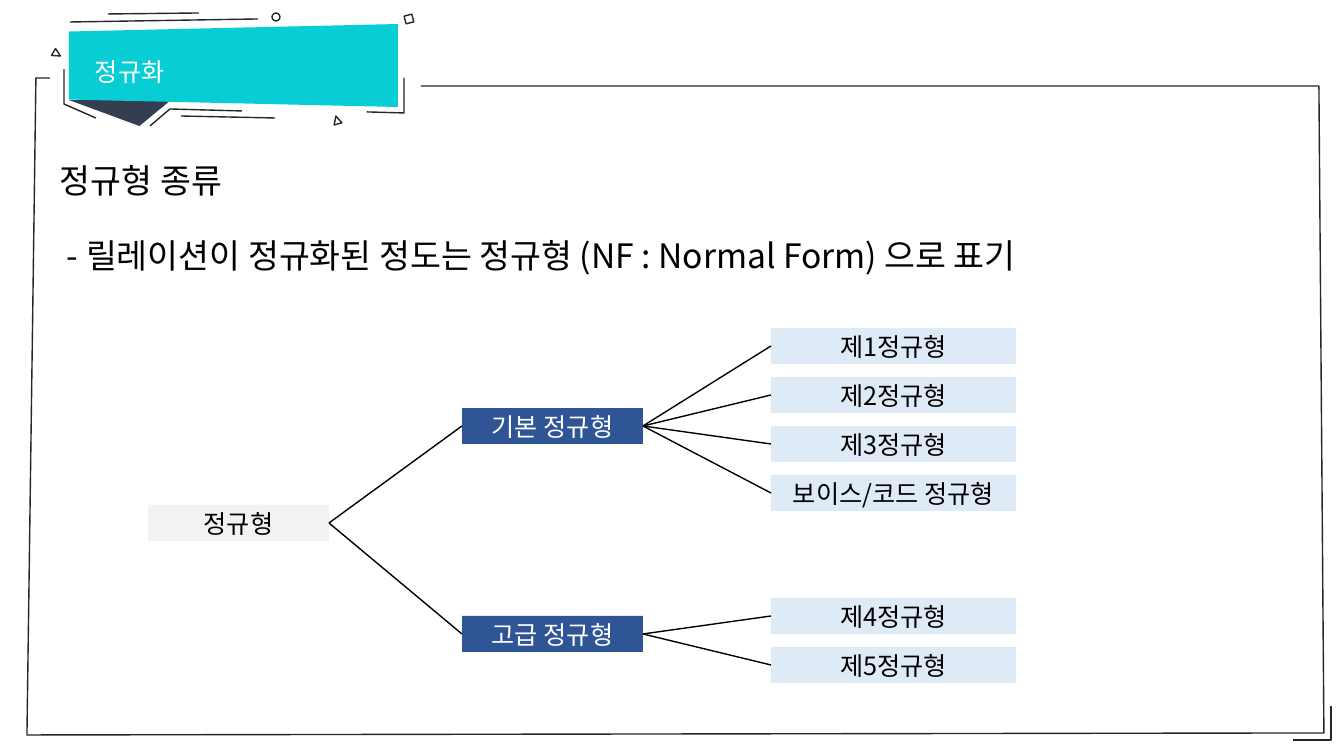
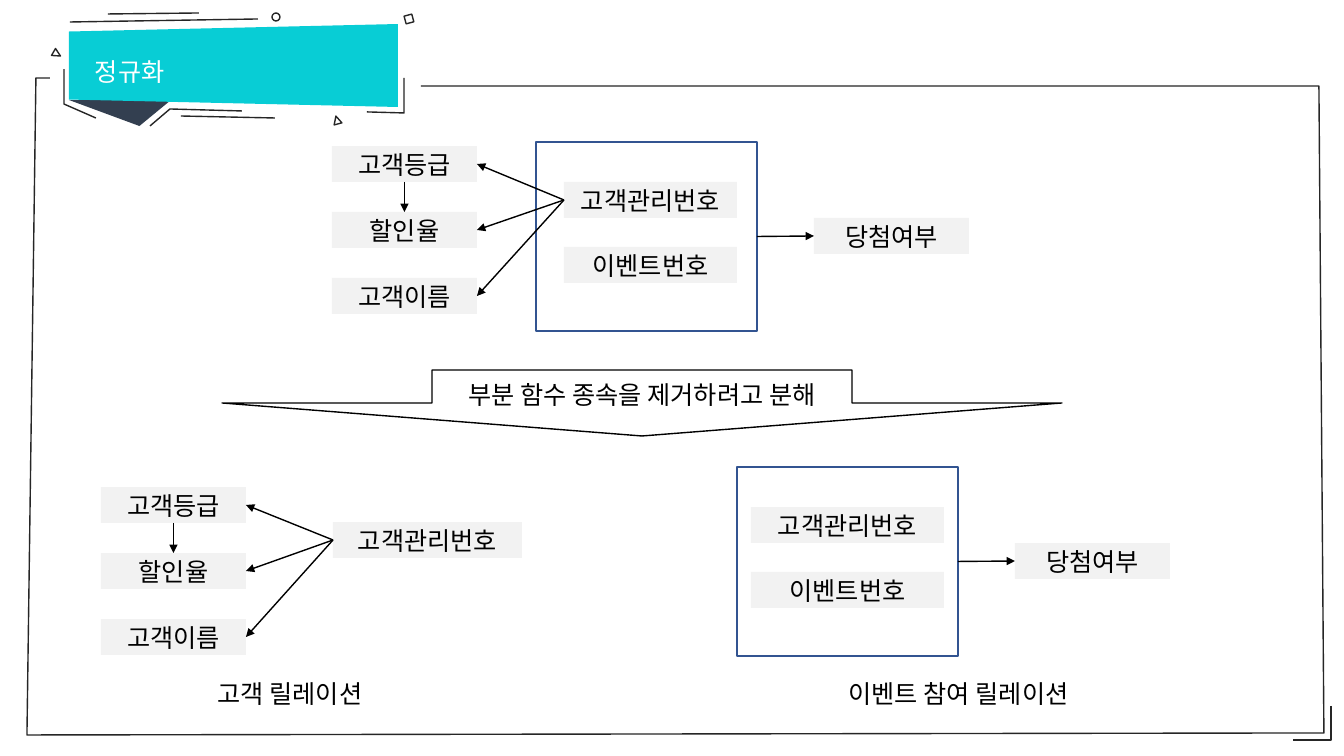
from dataclasses import dataclass

from lxml.etree import SubElement
from pptx import Presentation
from pptx.dml.color import RGBColor
from pptx.enum.shapes import MSO_CONNECTOR, MSO_SHAPE
from pptx.enum.text import MSO_ANCHOR, MSO_AUTO_SIZE, PP_ALIGN
from pptx.oxml.ns import qn
from pptx.util import Pt

PX = 914400 / 100.8
TOP, LEFT, BOTTOM, RIGHT = range(4)  # connection sites of a rectangle
ROW_H = 36


@dataclass(frozen=True)
class Theme:
    """Colours, font and sizes shared by all slides."""
    font: str = "Noto Sans CJK KR"
    heading: int = 24
    label: int = 18
    stroke: int = 1
    white: str = "FFFFFF"
    black: str = "000000"
    frame: str = "262626"
    banner: str = "08CDD5"
    fold: str = "333F50"
    grey: str = "F2F2F2"
    navy: str = "2F5597"
    pale: str = "DEEBF7"
    outline: str = "325491"


T = Theme()
CENTRED = {"alignment": PP_ALIGN.CENTER}
GROWING = {"word_wrap": False, "auto_size": MSO_AUTO_SIZE.SHAPE_TO_FIT_TEXT}


def emu(*lengths):
    """Turn pixel lengths into EMU."""
    return [round(n * PX) for n in lengths]


def rgb(colour):
    """Read a hex colour."""
    return RGBColor.from_string(colour)


def apply(target, values):
    """Set each format value on the target."""
    for name, value in values.items():
        setattr(target, name, value)


def paint(shape, fill=None, line=None):
    """Give a shape its fill and line, without a shadow."""
    shape.shadow.inherit = False
    if fill:
        shape.fill.solid()
        shape.fill.fore_color.rgb = rgb(fill)
    else:
        shape.fill.background()
    if line:
        shape.line.color.rgb = rgb(line)
        shape.line.width = Pt(T.stroke)
    else:
        shape.line.fill.background()


def write(p, text, size=T.label, colour=T.black, **layout):
    """Write one formatted run into a paragraph."""
    apply(p, layout)
    r = p.add_run()
    r.text = text
    apply(r.font, {"name": T.font, "size": Pt(size)})
    r.font.color.rgb = rgb(colour)
    SubElement(r.font._element, qn("a:ea"), typeface=T.font)


def add_preset(s, kind, box, fill=None, line=None, rotation=0, adjust=None):
    """Add a preset shape."""
    sp = s.shapes.add_shape(kind, *emu(*box))
    sp.rotation = rotation
    if adjust is not None:
        sp.adjustments[0] = adjust
    paint(sp, fill, line)
    return sp


def add_label(s, text, x, y, w, h=ROW_H, kind=MSO_SHAPE.RECTANGLE,
              fill=T.grey, line=None, colour=T.black):
    """Add a shape with one centred line of text."""
    sp = add_preset(s, kind, (x, y, w, h), fill, line)
    tf = sp.text_frame
    apply(tf, {"vertical_anchor": MSO_ANCHOR.MIDDLE, "word_wrap": True})
    write(tf.paragraphs[0], text, colour=colour, **CENTRED)
    return sp


def add_text(s, box, **frame):
    """Add a text box and return its text frame."""
    tf = s.shapes.add_textbox(*emu(*box)).text_frame
    apply(tf, frame)
    return tf


def add_path(s, points, fill=None):
    """Add an open outline through the points."""
    builder = s.shapes.build_freeform(*points[0], scale=PX)
    builder.add_line_segments(points[1:], close=False)
    paint(builder.convert_to_shape(), fill, T.frame)


def add_line(s, points=(0, 0, 0, 0), colour=T.black, arrow=False):
    """Add a straight line, with an arrowhead at its end if asked."""
    c = s.shapes.add_connector(MSO_CONNECTOR.STRAIGHT, *emu(*points))
    c.line.color.rgb = rgb(colour)
    c.line.width = Pt(T.stroke)
    spPr = c._element.spPr
    if arrow:
        SubElement(spPr.find(qn("a:ln")), qn("a:tailEnd"), type="triangle")
    SubElement(spPr, qn("a:effectLst"))
    return c


def link(s, start, start_site, end, end_site, arrow=False):
    """Join two shapes at their connection sites."""
    c = add_line(s, arrow=arrow)
    c.begin_connect(start, start_site)
    c.end_connect(end, end_site)


def add_slide(prs, title):
    """Add a slide with the shared frame, banner and title."""
    s = prs.slides.add_slide(prs.slide_layouts[6])
    add_path(s, [(421, 86), (1319, 86), (1324, 733), (27, 735), (36, 78), (50, 78)],
             fill=T.white)
    add_path(s, [(1331, 706), (1331, 740), (1293, 740)])

    add_preset(s, MSO_SHAPE.ISOSCELES_TRIANGLE, (69, 100, 102, 26), T.fold,
               rotation=180, adjust=0.31)
    add_preset(s, MSO_SHAPE.TRAPEZOID, (192, -99, 83, 329), T.banner,
               rotation=270, adjust=0.09)
    for points in ((70, 22, 258, 19), (108, 14, 199, 13), (181, 116, 275, 118)):
        add_line(s, points, T.frame)
    for points in ([(64, 69), (64, 104), (96, 118)],
                   [(150, 126), (170, 109), (242, 111)],
                   [(404, 78), (404, 113), (367, 112)]):
        add_path(s, points)
    for kind, x, y, rotation in ((MSO_SHAPE.OVAL, 272, 13, 0),
                                 (MSO_SHAPE.ISOSCELES_TRIANGLE, 333, 116, 345),
                                 (MSO_SHAPE.RECTANGLE, 405, 15, 345),
                                 (MSO_SHAPE.ISOSCELES_TRIANGLE, 53, 50, 120)):
        add_preset(s, kind, (x, y, 8, 8), line=T.frame, rotation=rotation)

    tf = add_text(s, (85, 36, 97, 56), **GROWING)
    write(tf.paragraphs[0], title, colour=T.white, line_spacing=1.5)
    return s


def add_branch(s, root, text, y, leaves, leaf_y):
    """Add a group of normal forms and its members to the tree."""
    group = add_label(s, text, 462, y, 181, fill=T.navy, colour=T.white)
    link(s, root, RIGHT, group, LEFT)
    for i, leaf_text in enumerate(leaves):
        leaf = add_label(s, leaf_text, 771, leaf_y + 49 * i, 245, fill=T.pale)
        link(s, group, RIGHT, leaf, LEFT)


def add_customer_attributes(s, x, y, key):
    """Add the attributes that depend on the customer key."""
    grade, discount, name = [
        add_label(s, text, x, y + 66 * i, 145)
        for i, text in enumerate(("고객등급", "할인율", "고객이름"))]
    for attribute in (grade, discount, name):
        link(s, key, LEFT, attribute, RIGHT, arrow=True)
    link(s, grade, BOTTOM, discount, TOP, arrow=True)


def add_event_key(s, x, y, inset, width):
    """Add the composite key and its result; return the customer key."""
    customer, _ = [
        add_label(s, text, x + inset, y + 40 + 65 * i, width)
        for i, text in enumerate(("고객관리번호", "이벤트번호"))]
    box = add_preset(s, MSO_SHAPE.RECTANGLE, (x, y, 221, 189), line=T.outline)
    result = add_label(s, "당첨여부", x + 278, y + 76, 155)
    link(s, box, RIGHT, result, LEFT, arrow=True)
    return customer


def build_normal_forms(prs):
    """Show the kinds of normal form as a tree."""
    s = add_slide(prs, "정규화")
    tf = add_text(s, (50, 135, 1237, 499), word_wrap=True)
    spacing = {"line_spacing": 1.5, "space_before": Pt(10)}
    write(tf.paragraphs[0], "정규형 종류", T.heading, **spacing)
    p = tf.add_paragraph()
    write(p, "- 릴레이션이 정규화된 정도는 정규형 (NF : Normal Form) 으로 표기",
          T.heading, **spacing)
    p._p.get_or_add_pPr().set("marL", str(emu(7)[0]))

    root = add_label(s, "정규형", 148, 505, 181)
    add_branch(s, root, "기본 정규형", 408,
               ("제1정규형", "제2정규형", "제3정규형", "보이스/코드 정규형"), 328)
    add_branch(s, root, "고급 정규형", 616, ("제4정규형", "제5정규형"), 598)


def build_decomposition(prs):
    """Show a relation split to remove partial dependency."""
    s = add_slide(prs, "정규화")
    add_customer_attributes(s, 332, 146, add_event_key(s, 536, 142, 28, 173))
    add_label(s, "부분 함수 종속을 제거하려고 분해", 222, 370, 840, 66,
              kind=MSO_SHAPE.DOWN_ARROW, fill=None, line=T.black)
    add_customer_attributes(s, 101, 487,
                            add_label(s, "고객관리번호", 333, 522, 189))
    add_event_key(s, 737, 467, 14, 193)
    for text, x, w in (("고객 릴레이션", 199, 182), ("이벤트 참여 릴레이션", 825, 267)):
        tf = add_text(s, (x, 673, w, 40), **GROWING)
        write(tf.paragraphs[0], text, **CENTRED)


def main():
    """Build and save the presentation."""
    prs = Presentation()
    prs.slide_width, prs.slide_height = emu(1344, 756)
    build_normal_forms(prs)
    build_decomposition(prs)
    prs.save("out.pptx")


main()
